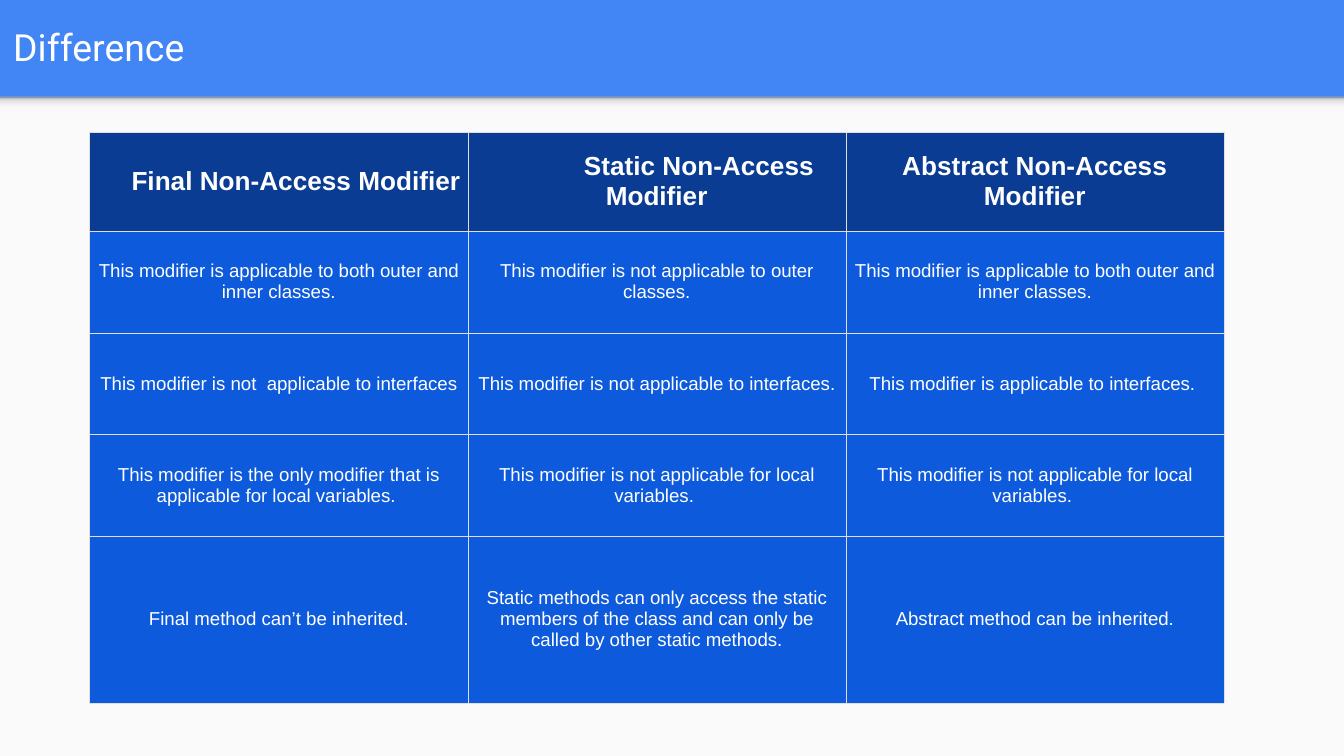
"""Build a slide that compares three Java non-access modifiers in a table."""
from copy import deepcopy
from dataclasses import dataclass

from pptx import Presentation
from pptx.dml.color import RGBColor
from pptx.enum.shapes import MSO_SHAPE as Shape
from pptx.enum.text import MSO_ANCHOR as Anchor, PP_ALIGN as Align
from pptx.oxml import parse_xml
from pptx.oxml.ns import nsdecls, qn
from pptx.util import Inches, Pt


@dataclass(frozen=True)
class Theme:
    banner: str = "4285F4"
    page: str = "FAFAFA"
    header: str = "093C92"
    body: str = "0D5BDC"
    border: str = "DFDFDF"
    text: str = "FFFFFF"
    shadow: tuple = ((0, "F9F9F9"), (0.36, "F9F9F9"), (0.8, "DEDEDE"), (1, "999999"))
    title_font: str = "Roboto"
    table_font: str = "Arial"
    title_size: int = 20
    header_size: int = 14
    body_size: int = 10
    border_width: float = 0.18


THEME = Theme()
SLIDE_WIDTH = 10
SLIDE_HEIGHT = SLIDE_WIDTH * 9 / 16
BANNER_HEIGHT = 0.72
TABLE_LEFT, TABLE_TOP = 2 / 3, 0.98
TABLE_WIDTH, TABLE_HEIGHT = 8.44, 4.25
HEADER_HEIGHT, LAST_HEIGHT = 0.74, 1.24
MIDDLE_HEIGHT = (TABLE_HEIGHT - HEADER_HEIGHT - LAST_HEIGHT) / 3
ROW_HEIGHTS = (HEADER_HEIGHT, *[MIDDLE_HEIGHT] * 3, LAST_HEIGHT)
SIDE_MARGIN = 1 / 15
HEADER_INDENTS = (0.26, 0.63, 0)
ROWS = (
    ("Final Non-Access Modifier", "Static Non-Access Modifier", "Abstract Non-Access Modifier"),
    (
        "This modifier is applicable to both outer and inner classes.",
        "This modifier is not applicable to outer classes.",
        "This modifier is applicable to both outer and inner classes.",
    ),
    (
        "This modifier is not  applicable to interfaces ",
        "This modifier is not applicable to interfaces. ",
        "This modifier is applicable to interfaces. ",
    ),
    (
        "This modifier is the only modifier that is applicable for local variables. ",
        "This modifier is not applicable for local variables. ",
        "This modifier is not applicable for local variables. ",
    ),
    (
        "Final method can’t be inherited.",
        "Static methods can only access the static members of the class and can only be "
        "called by other static methods.",
        "Abstract method can be inherited.",
    ),
)


def set_fill(fill, color):
    fill.solid()
    fill.fore_color.rgb = RGBColor.from_string(color)


def style_text(paragraph, font_name, size, bold=False):
    for run in paragraph.runs:
        run.font.name = font_name
        run.font.size = Pt(size)
        run.font.bold = bold
        run.font.color.rgb = RGBColor.from_string(THEME.text)


def add_band(slide, top, height):
    shape = slide.shapes.add_shape(
        Shape.RECTANGLE, 0, Inches(top), Inches(SLIDE_WIDTH), Inches(height)
    )
    shape.shadow.inherit = False
    shape.line.fill.background()
    return shape


def add_banner_shadow(slide):
    fill = add_band(slide, BANNER_HEIGHT, 0.12).fill
    fill.gradient()
    fill.gradient_angle = 90
    stop_list = fill._xPr.find(qn("a:gradFill")).find(qn("a:gsLst"))
    for _ in THEME.shadow[2:]:
        stop_list.append(deepcopy(stop_list[0]))
    for stop, (position, color) in zip(fill.gradient_stops, THEME.shadow):
        stop.position = position
        stop.color.rgb = RGBColor.from_string(color)


def add_title(slide, text):
    box = slide.shapes.add_textbox(0, Inches(0.02), Inches(9.82), Inches(0.66))
    frame = box.text_frame
    frame.text = text
    frame.word_wrap = True
    frame.vertical_anchor = Anchor.MIDDLE
    frame.margin_left = frame.margin_right = Inches(0.1)
    frame.margin_top = frame.margin_bottom = Inches(0.1)
    style_text(frame.paragraphs[0], THEME.title_font, THEME.title_size)


def add_borders(cell):
    properties = cell._tc.get_or_add_tcPr()
    for index, side in enumerate(("lnL", "lnR", "lnT", "lnB")):
        border = parse_xml(
            f'<a:{side} {nsdecls("a")} w="{Pt(THEME.border_width)}"><a:solidFill>'
            f'<a:srgbClr val="{THEME.border}"/></a:solidFill></a:{side}>'
        )
        properties.insert(index, border)


def format_cell(cell, text, is_header, side_margin, indent):
    cell.text_frame.text = text
    cell.vertical_anchor = Anchor.MIDDLE
    cell.margin_left = cell.margin_right = Inches(side_margin)
    cell.margin_top = cell.margin_bottom = Inches(0.07 if is_header else 0.09)
    set_fill(cell.fill, THEME.header if is_header else THEME.body)
    add_borders(cell)
    paragraph = cell.text_frame.paragraphs[0]
    paragraph.alignment = Align.CENTER
    if indent:
        properties = paragraph._p.get_or_add_pPr()
        properties.set("marL", "0")
        properties.set("indent", str(Inches(indent)))
    size = THEME.header_size if is_header else THEME.body_size
    style_text(paragraph, THEME.table_font, size, is_header)


def add_comparison_table(slide):
    table = slide.shapes.add_table(
        len(ROWS), len(ROWS[0]), Inches(TABLE_LEFT), Inches(TABLE_TOP),
        Inches(TABLE_WIDTH), Inches(TABLE_HEIGHT),
    ).table
    for row_index, (height, texts) in enumerate(zip(ROW_HEIGHTS, ROWS)):
        table.rows[row_index].height = Inches(height)
        is_header = row_index == 0
        for column_index, text in enumerate(texts):
            side_margin = 0.03 if is_header and column_index == 0 else SIDE_MARGIN
            indent = HEADER_INDENTS[column_index] if is_header else 0
            cell = table.cell(row_index, column_index)
            format_cell(cell, text, is_header, side_margin, indent)


def main():
    presentation = Presentation()
    presentation.slide_width = Inches(SLIDE_WIDTH)
    presentation.slide_height = Inches(SLIDE_HEIGHT)
    slide = presentation.slides.add_slide(presentation.slide_layouts[6])
    set_fill(slide.background.fill, THEME.banner)
    page = add_band(slide, BANNER_HEIGHT, SLIDE_HEIGHT - BANNER_HEIGHT)
    set_fill(page.fill, THEME.page)
    add_banner_shadow(slide)
    add_title(slide, "Difference")
    add_comparison_table(slide)
    presentation.save("out.pptx")


if __name__ == "__main__":
    main()
